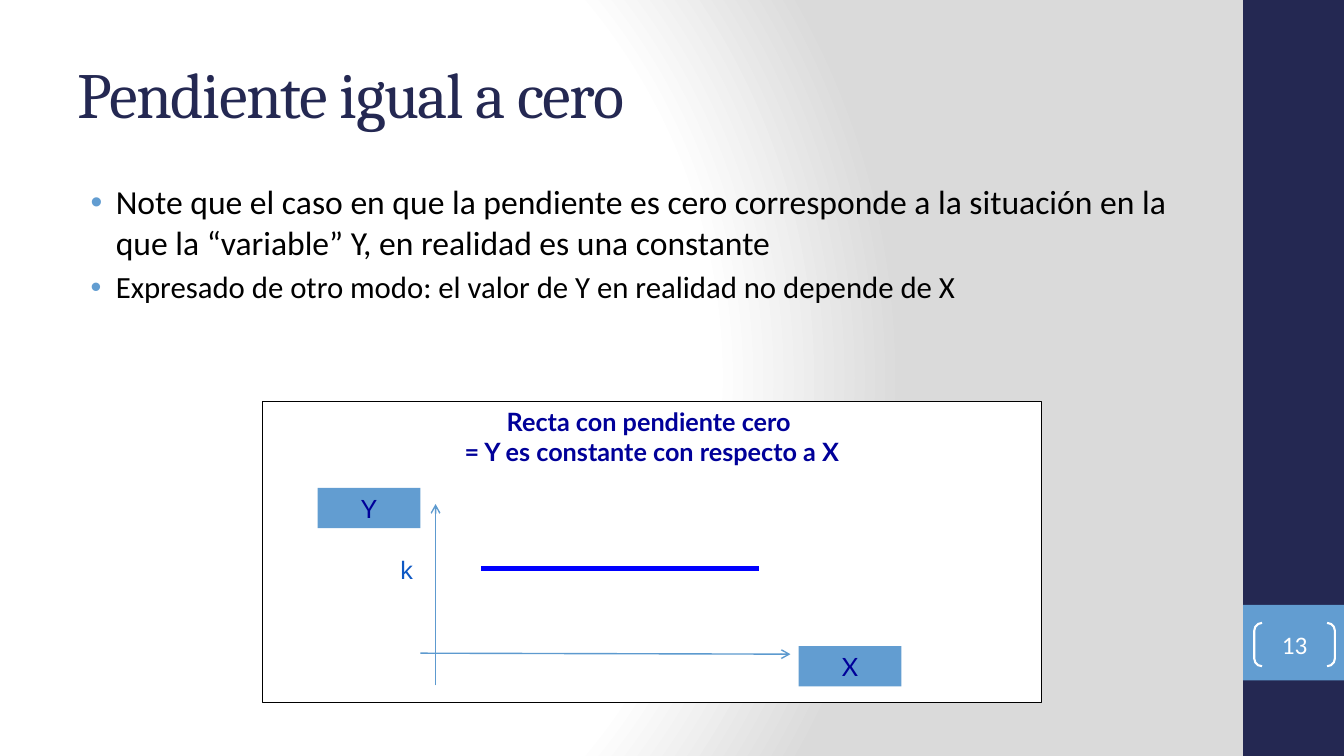
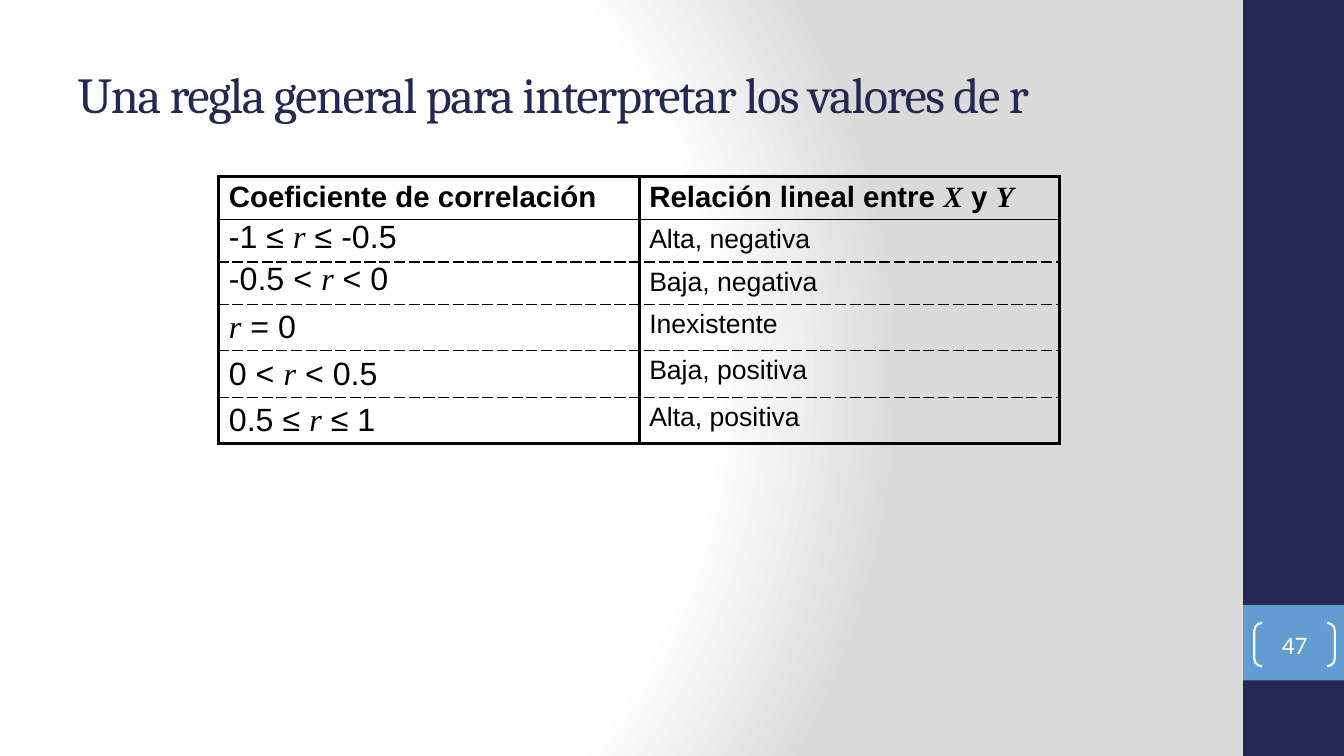
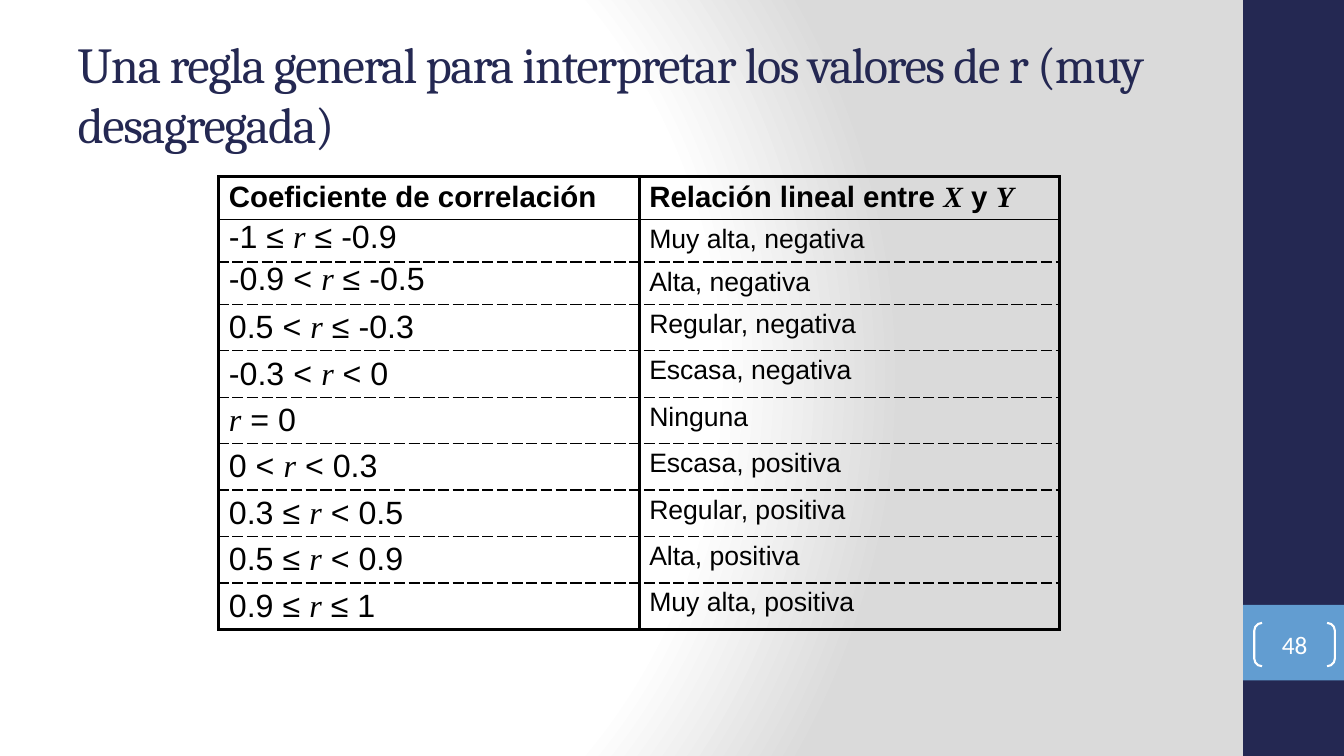
"""Build three slides on zero slope and how to read a correlation coefficient."""
from dataclasses import dataclass

from lxml.etree import SubElement
from pptx import Presentation
from pptx.dml.color import RGBColor
from pptx.enum.shapes import MSO_CONNECTOR, MSO_SHAPE
from pptx.enum.text import MSO_ANCHOR, MSO_AUTO_SIZE, PP_ALIGN
from pptx.oxml.ns import qn
from pptx.util import Inches, Pt


@dataclass(frozen=True)
class Theme:
    navy: RGBColor = RGBColor(0x24, 0x28, 0x52)
    sky: RGBColor = RGBColor(0x62, 0x9D, 0xD1)
    axis: RGBColor = RGBColor(0x5D, 0x9A, 0xCF)
    caption: RGBColor = RGBColor(0x00, 0x00, 0x99)
    constant: RGBColor = RGBColor(0x0E, 0x58, 0xC4)
    slope: RGBColor = RGBColor(0x00, 0x00, 0xFF)
    black: RGBColor = RGBColor(0, 0, 0)
    white: RGBColor = RGBColor(0xFF, 0xFF, 0xFF)
    grey: RGBColor = RGBColor(0xDA, 0xDA, 0xDA)
    heading_font: str = "Cambria"
    body_font: str = "Calibri"
    label_font: str = "Lato"
    table_font: str = "Arial"
    variable_font: str = "Times New Roman"
    title_large: int = 46
    title_small: int = 36
    point_large: int = 24
    point_small: int = 22
    label: int = 18
    table_header: int = 21
    table_range: int = 23
    table_meaning: int = 19


THEME = Theme()


def assign(target, values):
    for name, value in values.items():
        setattr(target, name, value)


def add(parent, tag, **attributes):
    return SubElement(parent, qn(tag), attributes)


def write(paragraph, text, face, size, color, **extra):
    for index, line in enumerate(text.split("\n")):
        if index:
            paragraph.add_line_break()
        run = paragraph.add_run()
        run.text = line
        assign(run.font, {"name": face, "size": Pt(size), **extra})
        run.font.color.rgb = color
    return run


class Deck:
    def __init__(self, theme):
        self.theme = theme
        self.presentation = Presentation()
        assign(self.presentation, {"slide_width": Inches(13.33), "slide_height": Inches(7.5)})
        self.slide = None
        self.paint_background()

    def paint_background(self):
        master = self.presentation.slide_master
        master.background.fill.gradient()
        gradient = master.element.find(".//" + qn("a:gradFill"))
        gradient.clear()
        stops = add(gradient, "a:gsLst")
        for position, color in ((0, self.theme.white), (75, self.theme.white), (100, self.theme.grey)):
            stop = add(stops, "a:gs", pos=str(position * 1000))
            add(stop, "a:srgbClr", val=str(color))
        circle = add(gradient, "a:path", path="circle")
        add(circle, "a:fillToRect", l="20000", t="50000", r="100000", b="50000")

    def new_slide(self, title, size, number):
        theme = self.theme
        self.slide = self.presentation.slides.add_slide(self.presentation.slide_layouts[5])
        self.box((12.33, 0, 1, 7.5), fill=theme.navy)
        self.box((12.33, 6, 1, 0.75), fill=theme.sky)
        self.title(title, size)
        bracket = self.box((12.44, 6.18, 0.8, 0.43), line=theme.white, width=1.5,
                           kind=MSO_SHAPE.DOUBLE_BRACKET)
        bracket.adjustments[0] = 0.18
        self.label(bracket, str(number), theme.body_font, theme.white)

    def title(self, text, size):
        heading = self.slide.shapes.title
        assign(heading, dict(zip(("left", "top", "width", "height"),
                                 map(Inches, (0.67, 0.3, 11.11, 1.25)))))
        assign(heading.text_frame, {"vertical_anchor": MSO_ANCHOR.MIDDLE, "word_wrap": True,
                                    "auto_size": MSO_AUTO_SIZE.NONE})
        paragraph = heading.text_frame.paragraphs[0]
        paragraph.alignment = PP_ALIGN.LEFT
        run = write(paragraph, text, self.theme.heading_font, size, self.theme.navy)
        run.font._element.set("spc", "-100")

    def box(self, place, fill=None, line=None, width=0.75, kind=MSO_SHAPE.RECTANGLE):
        shape = self.slide.shapes.add_shape(kind, *map(Inches, place))
        shape.shadow.inherit = False
        if fill is None:
            shape.fill.background()
        else:
            shape.fill.solid()
            shape.fill.fore_color.rgb = fill
        if line is None:
            shape.line.fill.background()
        else:
            shape.line.color.rgb = line
            shape.line.width = Pt(width)
        return shape

    def label(self, shape, text, face, color, anchor=MSO_ANCHOR.MIDDLE, inset=0, **extra):
        margins = dict.fromkeys(("margin_left", "margin_right", "margin_top", "margin_bottom"),
                                Inches(inset))
        assign(shape.text_frame, {"vertical_anchor": anchor, "word_wrap": True, **margins})
        paragraph = shape.text_frame.paragraphs[0]
        paragraph.alignment = PP_ALIGN.CENTER
        write(paragraph, text, face, self.theme.label, color, **extra)

    def text_area(self, place):
        return self.slide.shapes.add_textbox(*map(Inches, place))

    def bullets(self, place, points):
        frame = self.text_area(place).text_frame
        frame.word_wrap = True
        for index, (text, size) in enumerate(points):
            paragraph = frame.add_paragraph() if index else frame.paragraphs[0]
            write(paragraph, text, self.theme.body_font, size, self.theme.black)
            paragraph.space_before = Pt(size * 0.2)
            properties = paragraph._p.get_or_add_pPr()
            properties.set("marL", str(Inches(0.38)))
            properties.set("indent", str(Inches(-0.25)))
            add(add(properties, "a:buClr"), "a:srgbClr", val=str(self.theme.sky))
            add(properties, "a:buFont", typeface="Arial")
            add(properties, "a:buChar", char="•")

    def line(self, start, end, color, width, arrow=False):
        connector = self.slide.shapes.add_connector(MSO_CONNECTOR.STRAIGHT,
                                                    *map(Inches, (*start, *end)))
        connector.line.color.rgb = color
        connector.line.width = Pt(width)
        if arrow:
            add(connector.line._get_or_add_ln(), "a:tailEnd", type="arrow")
        add(connector._element.spPr, "a:effectLst")

    def border(self, cell, side, width, dash="solid"):
        edge = add(cell._tc.get_or_add_tcPr(), "a:ln" + side, w=str(Pt(width)))
        add(add(edge, "a:solidFill"), "a:srgbClr", val=str(self.theme.black))
        add(edge, "a:prstDash", val=dash)

    def cell(self, cell, text, size, bold, spacing):
        paragraph = cell.text_frame.paragraphs[0]
        assign(paragraph, {"space_before": Pt(size * 0.2), "line_spacing": spacing})
        for index, part in enumerate(text.split("*")):
            variable = index % 2 == 1
            face = self.theme.variable_font if variable else self.theme.table_font
            if part:
                write(paragraph, part, face, size, self.theme.black, bold=bold, italic=variable)

    def correlation_table(self, meanings):
        theme = self.theme
        rows = [("Coeficiente de correlación", "Relación lineal entre *X* y *Y*"), *meanings]
        last = len(rows) - 1
        heights = [0.43, 0.42, 0.42] + [0.44] * (last - 3) + [0.43]
        place = map(Inches, (2.17, 1.75, 8.34, sum(heights)))
        table = self.slide.shapes.add_table(len(rows), 2, *place).table
        assign(table, {"first_row": False, "horz_banding": False})
        outer, solid, dashed = (2.25,), (1,), (1, "sysDash")
        edges = [outer, solid] + [dashed] * (last - 1) + [outer]
        for row, texts in enumerate(rows):
            table.rows[row].height = Inches(heights[row])
            for column, text in enumerate(texts):
                table.columns[column].width = Inches(4.17)
                cell = table.cell(row, column)
                size = (theme.table_range, theme.table_meaning)[column] if row else theme.table_header
                tight = column == 0 and row in (1, 2)
                self.cell(cell, text, size, row == 0, 0.8 if tight else 1.0)
                for side, style in zip("LRTB", (outer, outer, edges[row], edges[row + 1])):
                    self.border(cell, side, *style)
                cell.fill.background()

    def zero_slope_graph(self):
        theme = self.theme
        panel = self.box((2.6, 3.98, 7.73, 2.99), theme.white, theme.black)
        self.label(panel, "Recta con pendiente cero \n= Y es constante con respecto a X",
                   theme.label_font, theme.caption, MSO_ANCHOR.TOP, 0.05, bold=True)
        self.line((4.77, 5.64), (7.53, 5.64), theme.slope, 3)
        for start, end in (((4.17, 6.48), (7.84, 6.49)), ((4.32, 6.8), (4.32, 5))):
            self.line(start, end, theme.axis, 1, arrow=True)
        for name, left, top in (("Y", 3.15, 4.84), ("X", 7.92, 6.41)):
            tag = self.box((left, top, 1.02, 0.4), theme.sky)
            self.label(tag, name, theme.label_font, theme.caption)
        constant = self.text_area((3.67, 5.45, 0.73, 0.4))
        self.label(constant, "k", theme.table_font, theme.constant)


def main():
    deck = Deck(THEME)
    deck.new_slide("Pendiente igual a cero", THEME.title_large, 13)
    deck.bullets((0.67, 1.75, 11.11, 1.6), [
        ("Note que el caso en que la pendiente es cero corresponde a la situación en la "
         "que la “variable” Y, en realidad es una constante", THEME.point_large),
        ("Expresado de otro modo: el valor de Y en realidad no depende de X", THEME.point_small),
    ])
    deck.zero_slope_graph()

    rule = "Una regla general para interpretar los valores de r"
    deck.new_slide(rule, THEME.title_small, 47)
    deck.correlation_table([
        ("-1 ≤ *r* ≤ -0.5", "Alta, negativa"),
        ("-0.5 < *r* < 0", "Baja, negativa"),
        ("*r* = 0", "Inexistente"),
        ("0 < *r* < 0.5", "Baja, positiva"),
        ("0.5 ≤ *r* ≤ 1", "Alta, positiva"),
    ])

    deck.new_slide(rule + " (muy desagregada)", THEME.title_small, 48)
    deck.correlation_table([
        ("-1 ≤ *r* ≤ -0.9", "Muy alta, negativa"),
        ("-0.9 < *r* ≤ -0.5", "Alta, negativa"),
        ("0.5 < *r* ≤ -0.3", "Regular, negativa"),
        ("-0.3 < *r* < 0", "Escasa, negativa"),
        ("*r* = 0", "Ninguna"),
        ("0 < *r* < 0.3", "Escasa, positiva"),
        ("0.3 ≤ *r* < 0.5", "Regular, positiva"),
        ("0.5 ≤ *r* < 0.9", "Alta, positiva"),
        ("0.9 ≤ *r* ≤ 1", "Muy alta, positiva"),
    ])
    deck.presentation.save("out.pptx")


if __name__ == "__main__":
    main()
